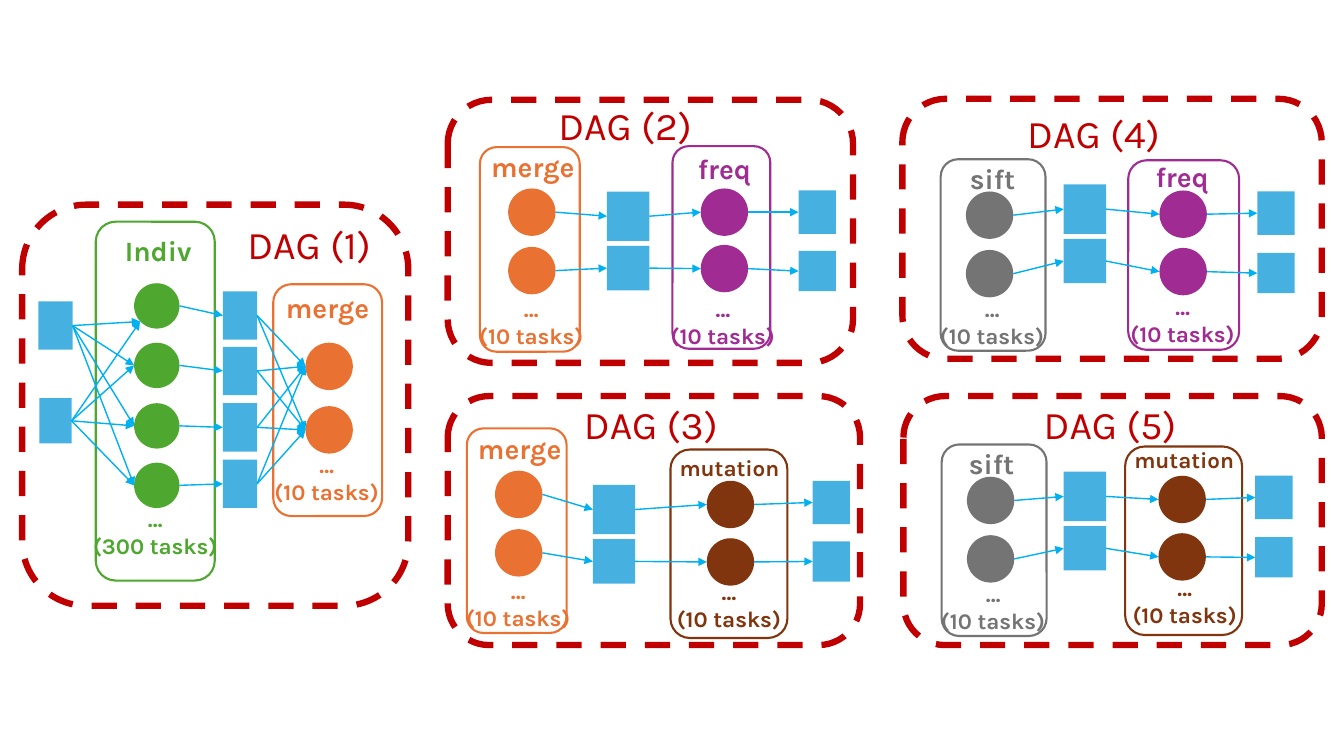
from itertools import product
from lxml.etree import SubElement
from pptx import Presentation
from pptx.dml.color import RGBColor
from pptx.enum.dml import MSO_LINE
from pptx.enum.shapes import MSO_CONNECTOR, MSO_SHAPE
from pptx.enum.text import MSO_AUTO_SIZE, PP_ALIGN
from pptx.oxml.ns import qn
from pptx.util import Pt

PX = 9144
RED = RGBColor(0xC0, 0x00, 0x00)
GREEN = RGBColor(0x4E, 0xA7, 0x2E)
ORANGE = RGBColor(0xE9, 0x71, 0x32)
PURPLE = RGBColor(0xA0, 0x2B, 0x93)
BROWN = RGBColor(0x80, 0x35, 0x0E)
GRAY = RGBColor(0x74, 0x74, 0x74)
BLUE = RGBColor(0x46, 0xB1, 0xE1)
SKY = RGBColor(0x00, 0xB0, 0xF0)


class Workflow:
    font_name = "Karla"

    def __init__(self, width, height):
        self.deck = Presentation()
        self.deck.slide_width = width * PX
        self.deck.slide_height = height * PX
        self.page = self.deck.slides.add_slide(self.deck.slide_layouts[6])

    def shape(self, kind, place):
        shape = self.page.shapes.add_shape(kind, *(length * PX for length in place))
        shape.shadow.inherit = False
        return shape

    def outline(self, place, color, weight, dash=None):
        shape = self.shape(MSO_SHAPE.ROUNDED_RECTANGLE, place)
        shape.fill.background()
        shape.line.color.rgb = color
        for name, value in {"width": Pt(weight), "dash_style": dash}.items():
            setattr(shape.line, name, value)

    def node(self, kind, place, color):
        shape = self.shape(kind, place)
        shape.fill.solid()
        shape.fill.fore_color.rgb = color
        shape.line.fill.background()
        return shape

    def tasks(self, left, tops, color, size=47):
        return [self.node(MSO_SHAPE.OVAL, (left, top, size, size), color) for top in tops]

    def files(self, left, tops, width, heights):
        return [self.node(MSO_SHAPE.RECTANGLE, (left, top, width, height), BLUE)
                for top, height in zip(tops, heights)]

    def text(self, lines, place, color, size, bold=True):
        box = self.page.shapes.add_textbox(*(length * PX for length in place))
        frame = box.text_frame
        for name, value in {"word_wrap": True, "auto_size": MSO_AUTO_SIZE.SHAPE_TO_FIT_TEXT,
                            "text": "\n".join(lines)}.items():
            setattr(frame, name, value)
        for para in frame.paragraphs:
            para.alignment = PP_ALIGN.CENTER
            span = para.runs[0]
            for name, value in {"name": self.font_name, "size": Pt(size), "bold": bold}.items():
                setattr(span.font, name, value)
            span.font.color.rgb = color

    def arrow(self, source, target, at_corner=False):
        end_x, end_y = target.left, target.top + target.height // 2
        if at_corner:
            end_x, end_y = target.left + 6 * PX, target.top + 38 * PX
        line = self.page.shapes.add_connector(
            MSO_CONNECTOR.STRAIGHT, source.left + source.width,
            source.top + source.height // 2, end_x, end_y)
        line.line.color.rgb = SKY
        line.line.width = Pt(1)
        SubElement(line.line._get_or_add_ln(), qn("a:tailEnd"), type="triangle")
        SubElement(line._element.spPr, qn("a:effectLst"))

    def link(self, sources, targets):
        for source, target in zip(sources, targets):
            self.arrow(source, target)

    def frame(self, title, place, title_place):
        self.outline(place, RED, 4.5, MSO_LINE.DASH)
        self.text([title], title_place, RED, 28, False)

    def stage(self, name, color, label, box, count_at, count="(10 tasks)"):
        self.outline(box, color, 1.5)
        self.text([name], label, color, 16 if name == "mutation" else 20)
        self.text(["…", count], (*count_at, 144, 118), color, 16)

    def pipeline(self, title, place, title_place, first, second, columns):
        self.frame(title, place, title_place)
        self.stage(*first)
        self.stage(*second)
        start, middle, finish, end = columns
        first_tasks = self.tasks(*start, first[1])
        inner_files = self.files(*middle, 42, (49, 44))
        second_tasks = self.tasks(*finish, second[1])
        outer_files = self.files(*end, 37, (43, 40))
        self.link(first_tasks, inner_files)
        self.link(inner_files, second_tasks)
        self.link(second_tasks, outer_files)

    def fan(self):
        self.frame("DAG (1)", (22, 203, 383, 398), (159, 214, 295, 57))
        self.stage("Indiv", GREEN, (85, 227, 144, 98), (95, 220, 118, 356),
                   (82, 496), "(300 tasks)")
        self.stage("merge", ORANGE, (253, 283, 144, 109), (271, 282, 108, 230), (252, 443))
        inputs = self.files(38, (299,), 34, (48,)) + self.files(39, (395,), 32, (45,))
        individuals = self.tasks(133, (281, 340, 400, 459), GREEN, 45)
        results = self.files(221, (289, 344, 400, 456), 34, (48,) * 4)
        merges = self.tasks(303, (340, 403), ORANGE)
        for source, target in product(inputs, individuals):
            self.arrow(source, target, target is individuals[0])
        self.link(individuals, results)
        for source, target in product(results, merges):
            self.arrow(source, target)


PIPELINES = [
    ("DAG (2)", (444, 99, 402, 261), (465, 96, 310, 57),
     ("merge", ORANGE, (430, 143, 197, 92), (476, 146, 99, 203), (455, 288)),
     ("freq", PURPLE, (641, 145, 155, 46), (667, 145, 97, 201), (645, 288)),
     ((504, (187, 245)), (602, (190, 244)), (695, (187, 243)), (792, (189, 249)))),
    ("DAG (3)", (444, 393, 409, 247), (488, 392, 315, 42),
     ("merge", ORANGE, (417, 423, 197, 92), (463, 425, 99, 203), (442, 568)),
     ("mutation", BROWN, (646, 446, 155, 42), (665, 446, 116, 187), (651, 569)),
     ((491, (467, 525)), (588, (481, 535)), (701, (477, 534)), (806, (477, 537)))),
    ("DAG (4)", (895, 98, 416, 258), (924, 104, 321, 57),
     ("sift", GRAY, (886, 155, 197, 109), (933, 158, 104, 190), (912, 288)),
     ("freq", PURPLE, (1095, 153, 155, 46), (1119, 159, 110, 188), (1101, 286)),
     ((958, (190, 248)), (1055, (183, 237)), (1150, (189, 246)), (1247, (190, 251)))),
    ("DAG (5)", (896, 393, 415, 247), (941, 392, 320, 42),
     ("sift", GRAY, (885, 438, 197, 109), (934, 441, 104, 190), (913, 571)),
     ("mutation", BROWN, (1097, 438, 155, 42), (1116, 443, 116, 187), (1103, 565)),
     ((959, (473, 531)), (1055, (468, 522)), (1149, (472, 529)), (1245, (472, 533)))),
]


def main():
    workflow = Workflow(1333, 750)
    workflow.fan()
    for pipeline in PIPELINES:
        workflow.pipeline(*pipeline)
    workflow.deck.save("out.pptx")


if __name__ == "__main__":
    main()
